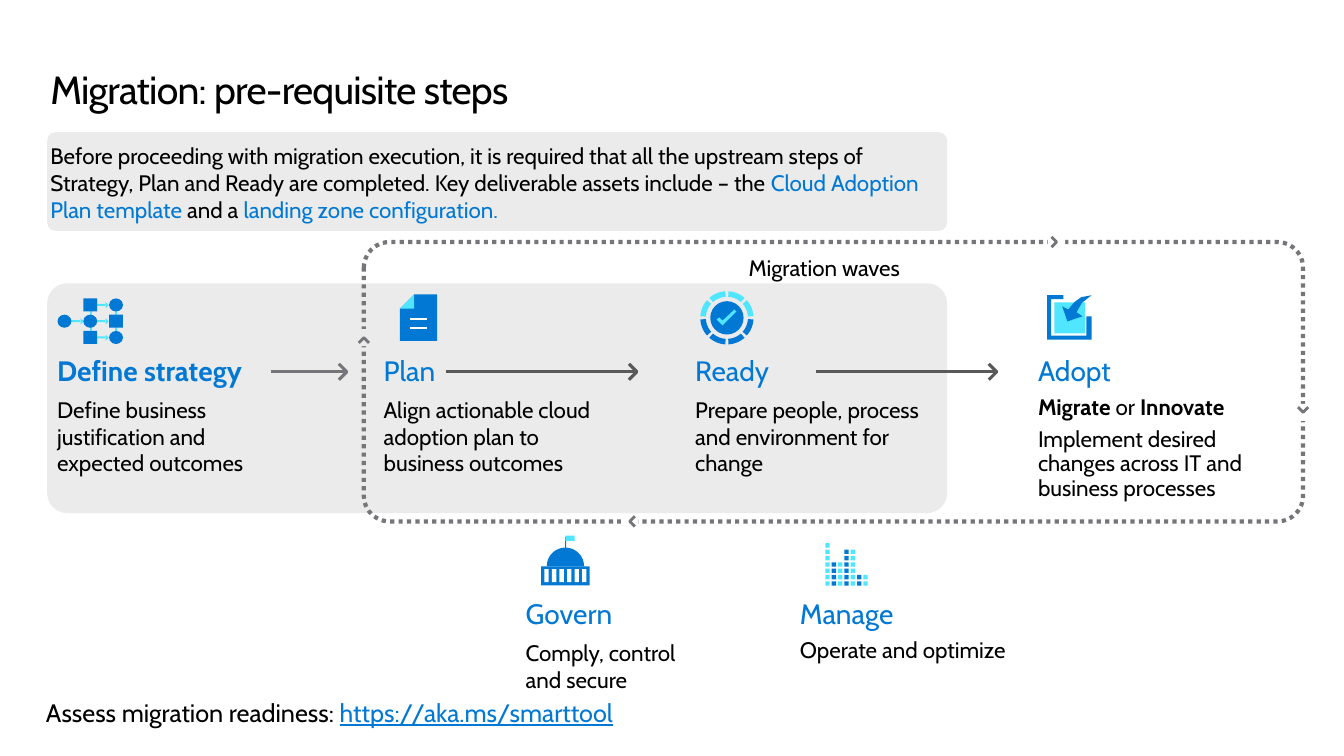
from copy import deepcopy
from dataclasses import dataclass
from math import cos, radians, sin

from lxml.etree import SubElement
from pptx import Presentation
from pptx.dml.color import RGBColor
from pptx.enum.dml import MSO_LINE_DASH_STYLE as Dash
from pptx.enum.shapes import MSO_CONNECTOR as Conn, MSO_SHAPE as Form
from pptx.oxml.ns import qn
from pptx.util import Cm, Pt


@dataclass(frozen=True)
class Theme:
    font: str = "Cabin"
    ink: str = "000000"
    blue: str = "0078D4"
    cyan: str = "50E6FF"
    panel: str = "EBEBEB"
    white: str = "FFFFFF"
    grey: str = "75757A"
    dark: str = "595959"
    title: int = 28
    head: int = 20
    foot: int = 18
    body: int = 16


T = Theme()
TIGHT = dict(line_spacing=0.9, space_after=Pt(6))
PAD = (0.25, 0.41)


def tint(hue):
    return RGBColor.from_string(hue)


def paint(shape, fill=None, line=None, width=1.0):
    shape.shadow.inherit = False
    if fill:
        shape.fill.solid()
        shape.fill.fore_color.rgb = tint(fill)
    else:
        shape.fill.background()
    if line:
        shape.line.color.rgb = tint(line)
        shape.line.width = Pt(width)
    else:
        shape.line.fill.background()
    return shape


def rule(slide, start, end, hue, width):
    line = slide.shapes.add_connector(Conn.STRAIGHT, *map(Cm, start + end))
    line.line.color.rgb = tint(hue)
    line.line.width = Pt(width)
    SubElement(line._element.spPr, qn("a:effectLst"))


def chevron(slide, tip, way, size, hue, width):
    """Open arrowhead at tip, pointing along the unit vector way."""
    (x, y), (dx, dy) = tip, way
    ends = [(x - size * (dx + s * dy), y - size * (dy - s * dx)) for s in (1, -1)]
    pen = slide.shapes.build_freeform(*map(Cm, ends[0]))
    pen.add_line_segments([tuple(map(Cm, p)) for p in (tip, ends[1])], close=False)
    paint(pen.convert_to_shape(), line=hue, width=width)


def write(slide, box, paras, pad=(0, 0)):
    """Each paragraph is (format, runs); each run is (text, font values)."""
    frame = slide.shapes.add_textbox(*map(Cm, box)).text_frame
    frame.word_wrap = True
    sides = dict(margin_left=pad[0], margin_right=pad[0],
                 margin_top=pad[1], margin_bottom=pad[1])
    for name, gap in sides.items():
        setattr(frame, name, Cm(gap))
    for i, (form, runs) in enumerate(paras):
        para = frame.add_paragraph() if i else frame.paragraphs[0]
        for name, value in form.items():
            setattr(para, name, value)
        for text, look in runs:
            look = dict(size=T.body, hue=T.ink) | look
            for j, part in enumerate(text.split("\n")):
                if j:
                    para.add_line_break()
                    para._p[-1].append(deepcopy(run._r.rPr))
                run = para.add_run()
                run.text = part
                run.font.name = T.font
                run.font.size = Pt(look["size"])
                run.font.color.rgb = tint(look["hue"])
                for name in ("bold", "underline"):
                    setattr(run.font, name, look.get(name))
                if "track" in look:
                    run._r.rPr.set("spc", str(look["track"]))


class Art:
    """Draws filled shapes in cm from an icon's top left corner."""

    def __init__(self, slide, x, y):
        self.slide, self.x, self.y = slide, x, y

    def form(self, kind, x, y, w, h, hue):
        paint(self.slide.shapes.add_shape(
            kind, Cm(self.x + x), Cm(self.y + y), Cm(w), Cm(h)), hue)

    def rect(self, *spot):
        self.form(Form.RECTANGLE, *spot)

    def dot(self, *spot):
        self.form(Form.OVAL, *spot)

    def poly(self, points, hue):
        first, *rest = [(Cm(self.x + x), Cm(self.y + y)) for x, y in points]
        pen = self.slide.shapes.build_freeform(*first)
        pen.add_line_segments(rest)
        paint(pen.convert_to_shape(), hue)

    def line(self, x, y, w, hue, width):
        x, y = self.x + x, self.y + y
        rule(self.slide, (x, y), (x + w, y), hue, width)


def arc(x, y, r, start, end, steps=12):
    turns = [radians(start + (end - start) * i / steps) for i in range(steps + 1)]
    return [(x + r * cos(a), y + r * sin(a)) for a in turns]


def nodes(art):
    for x in (0.82, 1.45):
        art.rect(x, 0.13, 0.05, 0.91, T.cyan)
    for x, row in ((0.81, 0), (0.81, 1), (0.81, 2), (0.18, 1)):
        y = 0.17 + 0.41 * row
        art.rect(x, y - 0.03, 0.4, 0.05, T.cyan)
        art.poly([(x + 0.4, y - 0.08), (x + 0.48, y), (x + 0.4, y + 0.08)], T.cyan)
    for col, marks in enumerate((" o ", "sos", "oso")):
        for row, mark in enumerate(marks):
            if mark != " ":
                draw = art.dot if mark == "o" else art.rect
                draw(0.65 * col, 0.41 * row, 0.35, 0.33, T.blue)


def sheet(art):
    art.poly([(0.36, 0), (0, 0.36), (0, 1.17), (0.94, 1.17), (0.94, 0)], T.blue)
    art.poly([(0.36, 0), (0, 0.36), (0.36, 0.36)], T.cyan)
    for y in (0.61, 0.84):
        art.line(0.25, y, 0.44, T.white, 1.38)


def badge(art):
    mid = 0.67
    art.dot(mid - 0.42, mid - 0.42, 0.84, 0.84, T.blue)
    art.poly([(0.91, 0.51), (0.86, 0.46), (0.56, 0.74), (0.48, 0.66),
              (0.41, 0.71), (0.56, 0.86)], T.cyan)
    for i in range(8):
        a, b = 45 * i + 3.5, 45 * i + 41.5
        ring = arc(mid, mid, 0.67, a, b) + arc(mid, mid, 0.53, b, a)
        art.poly(ring, T.blue if i < 4 else T.cyan)


def inbox(art):
    art.rect(0.18, 0.18, 0.78, 0.78, T.cyan)
    art.poly([(0.99, 0.53), (0.99, 1.02), (0.1, 1.02), (0.1, 0.1), (0.41, 0.1),
              (0.41, 0), (0, 0), (0, 1.12), (1.12, 1.12), (1.12, 0.53)], T.blue)
    art.poly([(1.12, 0), (0.86, 0.05), (0.69, 0.17), (0.53, 0.36), (0.38, 0.28),
              (0.51, 0.66), (0.89, 0.53), (0.74, 0.43), (0.87, 0.2)], T.blue)


def dome(art):
    art.rect(0.6, 0, 0.03, 0.3, T.blue)
    art.poly(arc(0.61, 0.74, 0.47, 180, 360, 24), T.blue)
    art.rect(0, 0.74, 1.22, 0.48, T.blue)
    for i in range(6):
        art.rect(0.08 + 0.19 * i, 0.81, 0.11, 0.33, T.white)
    art.rect(0.61, -0.03, 0.23, 0.13, T.cyan)


def bars(art):
    for col, tall in enumerate((7, 4, 4, 6, 6, 2, 2)):
        for row in range(7 - tall, 7):
            art.rect(0.16 * col, 0.16 * row, 0.11, 0.11, T.blue if col % 2 else T.cyan)


def panel(slide, box):
    shape = slide.shapes.add_shape(Form.ROUNDED_RECTANGLE, *map(Cm, box))
    shape.adjustments[0] = 0.087
    paint(shape, T.panel)


def step(slide, box, name, body, icon, shift, bold=False):
    """Heading and body in the box, with an icon set off from its corner."""
    head = (TIGHT, [(name, dict(size=T.head, hue=T.blue, bold=bold))])
    write(slide, box, [head] + body, PAD)
    icon(Art(slide, box[0] + shift[0], box[1] + shift[1]))


def cycle(slide, box):
    """Dotted loop with a direction mark on each side."""
    x, y, w, h = box
    loop = slide.shapes.add_shape(Form.ROUNDED_RECTANGLE, *map(Cm, box))
    loop.adjustments[0] = 0.092
    paint(loop, line=T.grey, width=3).line.dash_style = Dash.ROUND_DOT
    marks = (((x + 17.46, y), (1, 0), T.white), ((x + w, y + 4.29), (0, 1), T.white),
             ((x + 6.7, y + h), (-1, 0), T.white), ((x, y + 2.41), (0, -1), T.panel))
    for tip, way, back in marks:
        wide, tall = (0.43, 0.36) if way[0] else (0.36, 0.43)
        Art(slide, *tip).rect(-wide / 2, -tall / 2, wide, tall, back)
        chevron(slide, tip, way, 0.13, T.grey, 2)


def build(slide):
    panel(slide, (1.19, 3.33, 22.68, 2.49))
    panel(slide, (1.19, 7.14, 22.68, 5.79))
    write(slide, (1.27, 1.73, 31.39, 1.09), [(dict(line_spacing=Pt(31.4)), [
        ("Migration: pre-requisite steps", dict(size=T.title, track=-50))])])
    write(slide, (1.27, 3.58, 22.12, 2.06), [({}, [
        ("Before proceeding with migration execution, it is required that all the "
         "upstream steps of Strategy, Plan and Ready are completed. Key deliverable "
         "assets include – the ", {}),
        ("Cloud Adoption Plan template ", dict(hue=T.blue)),
        ("and a ", {}), ("landing zone configuration.", dict(hue=T.blue))])])

    top, low, tall = 8.59, 14.73, 1.73
    strong = dict(bold=True)
    for x, y, w, name, body, icon, shift, bold in (
        (1.19, top, 6.4, "Define strategy",
         [({}, [("Define business justification and \nexpected outcomes", {})])],
         nodes, (0.26, -1.07), True),
        (9.42, top, 6.05, "Plan",
         [({}, [("Align actionable cloud adoption plan to business outcomes", {})])],
         sheet, (0.66, -1.17), False),
        (17.27, top, 6.32, "Ready",
         [({}, [("Prepare people, process and environment for change", {})])],
         badge, (0.38, -1.25), False),
        (25.91, top, 6.78, "Adopt",
         [(TIGHT, [("Migrate", strong), (" or ", {}), ("Innovate", strong)]),
          (TIGHT, [("Implement desired changes across IT and business processes", {})])],
         inbox, (0.48, -1.15), False),
        (13, low, 5.99, "Govern", [({}, [("Comply, control \nand secure", {})])],
         dome, (0.64, -1.2), False),
        (19.91, low, 6.78, "Manage", [(TIGHT, [("Operate and optimize", {})])],
         bars, (0.89, -1.04), False),
    ):
        step(slide, (x, y, w, tall), name, body, icon, shift, bold)

    for x, end, hue in ((6.83, 8.74, T.grey), (11.25, 16.05, T.dark),
                        (20.57, 25.12, T.dark)):
        rule(slide, (x, 9.37), (end, 9.37), hue, 2.25)
        chevron(slide, (end, 9.37), (1, 0), 0.2, hue, 2.25)
    write(slide, (18.62, 6.4, 4.78, 0.69), [({}, [("Migration waves", {})])], (0.25, 0))
    write(slide, (0.91, 17.53, 16.15, 0.94), [(TIGHT, [
        ("Assess migration readiness: ", dict(size=T.foot)),
        ("https://aka.ms/smarttool", dict(size=T.foot, hue=T.blue, underline=True)),
    ])], (0.25, 0.13))
    cycle(slide, (9.17, 6.1, 23.67, 7.04))


def main():
    deck = Presentation()
    deck.slide_width, deck.slide_height = Cm(33.87), Cm(19.05)
    build(deck.slides.add_slide(deck.slide_layouts[6]))
    deck.save("out.pptx")


if __name__ == "__main__":
    main()
